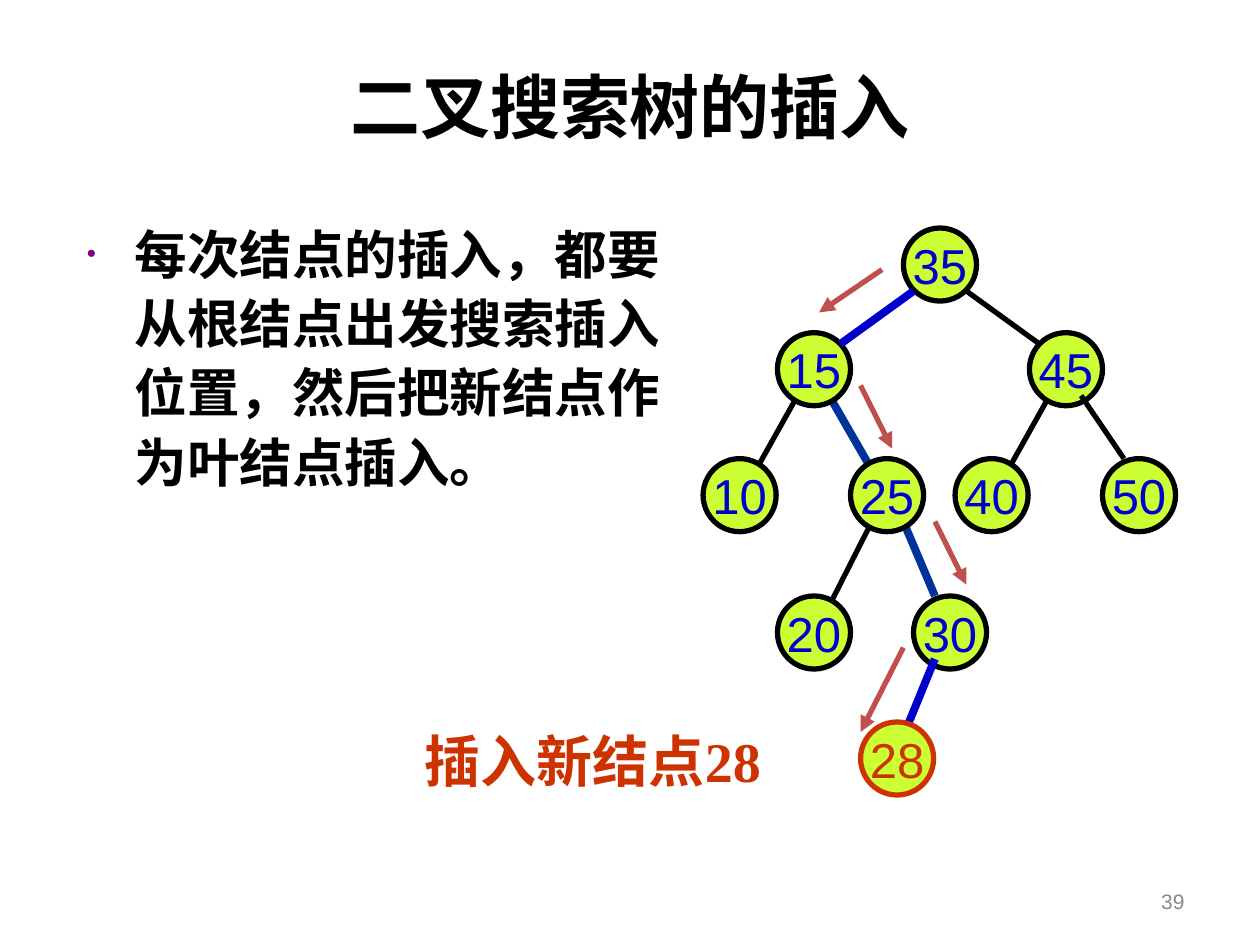
from lxml import etree
from pptx import Presentation
from pptx.dml.color import RGBColor
from pptx.enum.shapes import MSO_CONNECTOR as Connector, MSO_SHAPE as Shape
from pptx.enum.text import MSO_ANCHOR as Anchor, MSO_AUTO_SIZE as AutoSize, PP_ALIGN as Align
from pptx.oxml.ns import qn
from pptx.util import Inches, Pt

BLACK = RGBColor(0x00, 0x00, 0x00)
GREY = RGBColor(0x89, 0x89, 0x89)
LIME = RGBColor(0xCC, 0xFF, 0x33)
BLUE = RGBColor(0x00, 0x00, 0xCC)
NAVY = RGBColor(0x00, 0x33, 0x99)
ORANGE = RGBColor(0xCC, 0x33, 0x00)
BRICK = RGBColor(0xC0, 0x50, 0x4D)

# Content
TITLE = "二叉搜索树的插入"
RULE = "每次结点的插入，都要从根结点出发搜索插入位置，然后把新结点作为叶结点插入。"
CAPTION = "插入新结点28"
PAGE_NUMBER = "39"

# Tree nodes: key, left, top
NODE_SIZE = 0.58
NODES = [
    (35, 7.17, 1.81),
    (15, 6.17, 2.64), (45, 8.17, 2.64),
    (10, 5.58, 3.64), (25, 6.75, 3.64), (40, 7.58, 3.64), (50, 8.75, 3.64),
    (20, 6.17, 4.73), (30, 7.25, 4.73),
]
NEW_NODE = (28, 6.83, 5.73)

# Lines: start, end, colour; edges on the search path are wider
BACK_EDGES = [
    ((8.33, 3.14), (8, 3.73), BLACK),
    ((7.17, 4.14), (7.42, 4.73), NAVY),
    ((6.92, 4.14), (6.58, 4.81), BLACK),
    ((6.33, 3.14), (6, 3.73), BLACK),
    ((6.58, 3.14), (6.92, 3.73), NAVY),
]
FRONT_EDGES = [
    ((7.25, 2.31), (6.67, 2.73), BLUE),
    ((7.67, 2.31), (8.25, 2.73), BLACK),
    ((8.58, 3.14), (8.92, 3.64), BLACK),
    ((7.42, 5.23), (7.08, 6.06), BLUE),
]
SEARCH_ARROWS = [
    ((7, 2.14), (6.5, 2.48), BRICK),
    ((6.83, 3.06), (7.08, 3.56), BRICK),
    ((7.42, 4.14), (7.67, 4.64), BRICK),
    ((7.17, 5.14), (6.83, 5.81), BRICK),
]
EDGE_WIDTHS = {BLACK: 3, BRICK: 3, BLUE: 4.5, NAVY: 4.5}


def place(box, left, top, width, height):
    box.left, box.top = Inches(left), Inches(top)
    box.width, box.height = Inches(width), Inches(height)


def write(box, text, size, font, color, bold=False, align=Align.LEFT,
          anchor=Anchor.TOP, wrap=True):
    frame = box.text_frame
    frame_format = {"word_wrap": wrap, "auto_size": AutoSize.NONE, "vertical_anchor": anchor}
    for name, value in frame_format.items():
        setattr(frame, name, value)
    para = frame.paragraphs[0]
    para.alignment = align
    span = para.add_run()
    span.text = text
    for name, value in {"size": Pt(size), "name": font, "bold": bold}.items():
        setattr(span.font, name, value)
    span.font.color.rgb = color
    return para


def add_bullet(para, color, percent, indent):
    props = para._p.get_or_add_pPr()
    props.set("marL", str(Inches(indent)))
    props.set("indent", str(-Inches(indent)))
    fill = etree.SubElement(props, qn("a:buClr"))
    etree.SubElement(fill, qn("a:srgbClr"), val=color)
    etree.SubElement(props, qn("a:buSzPct"), val=str(percent * 1000))
    etree.SubElement(props, qn("a:buFont"), typeface="Arial")
    etree.SubElement(props, qn("a:buChar"), char="•")


def add_lines(shapes, lines, arrow=False):
    for start, end, color in lines:
        points = [Inches(value) for value in (*start, *end)]
        line = shapes.add_connector(Connector.STRAIGHT, *points)
        line.line.color.rgb = color
        line.line.width = Pt(EDGE_WIDTHS[color])
        if arrow:
            etree.SubElement(line.line._get_or_add_ln(), qn("a:tailEnd"), type="triangle")
        etree.SubElement(line._element.spPr, qn("a:effectLst"))


def add_node(shapes, key, left, top, outline=BLACK, color=BLUE):
    box = [Inches(value) for value in (left, top, NODE_SIZE, NODE_SIZE)]
    node = shapes.add_shape(Shape.OVAL, *box)
    node.shadow.inherit = False
    node.fill.solid()
    node.fill.fore_color.rgb = LIME
    node.line.color.rgb = outline
    node.line.width = Pt(3)
    write(node, str(key), 28, "Arial", color, align=Align.CENTER,
          anchor=Anchor.MIDDLE, wrap=False)


def add_label(page, box, *text, **style):
    label = page.shapes.add_textbox(*[Inches(value) for value in box])
    write(label, *text, **style)


def main():
    deck = Presentation()
    deck.slide_width, deck.slide_height = Inches(10), Inches(7.5)
    page = deck.slides.add_slide(deck.slide_layouts[1])

    # Title and rule
    title, body = page.placeholders
    place(title, 0.33, 0.32, 9.34, 1.03)
    write(title, TITLE, 40, "Calibri", BLACK, bold=True, align=Align.CENTER,
          anchor=Anchor.MIDDLE)
    place(body, 0.59, 1.66, 4.92, 4.25)
    para = write(body, RULE, 30, "Times New Roman", BLACK, bold=True)
    add_bullet(para, "800080", 50, 0.38)
    para.line_spacing = 1.1
    para.space_before = Pt(0)

    # Page number
    add_label(page, (7.17, 6.95, 2.33, 0.4), PAGE_NUMBER, 12, "Arial", GREY,
              align=Align.RIGHT, anchor=Anchor.MIDDLE)

    # Search tree
    tree = page.shapes.add_group_shape().shapes
    add_lines(tree, BACK_EDGES)
    for node in NODES:
        add_node(tree, *node)
    add_lines(tree, FRONT_EDGES)
    add_lines(tree, SEARCH_ARROWS, arrow=True)
    add_node(tree, *NEW_NODE, outline=ORANGE, color=ORANGE)

    # Caption of the new node
    add_label(page, (3.27, 5.72, 3.25, 0.64), CAPTION, 32, "Times New Roman", ORANGE, bold=True)

    deck.save("out.pptx")


if __name__ == "__main__":
    main()
